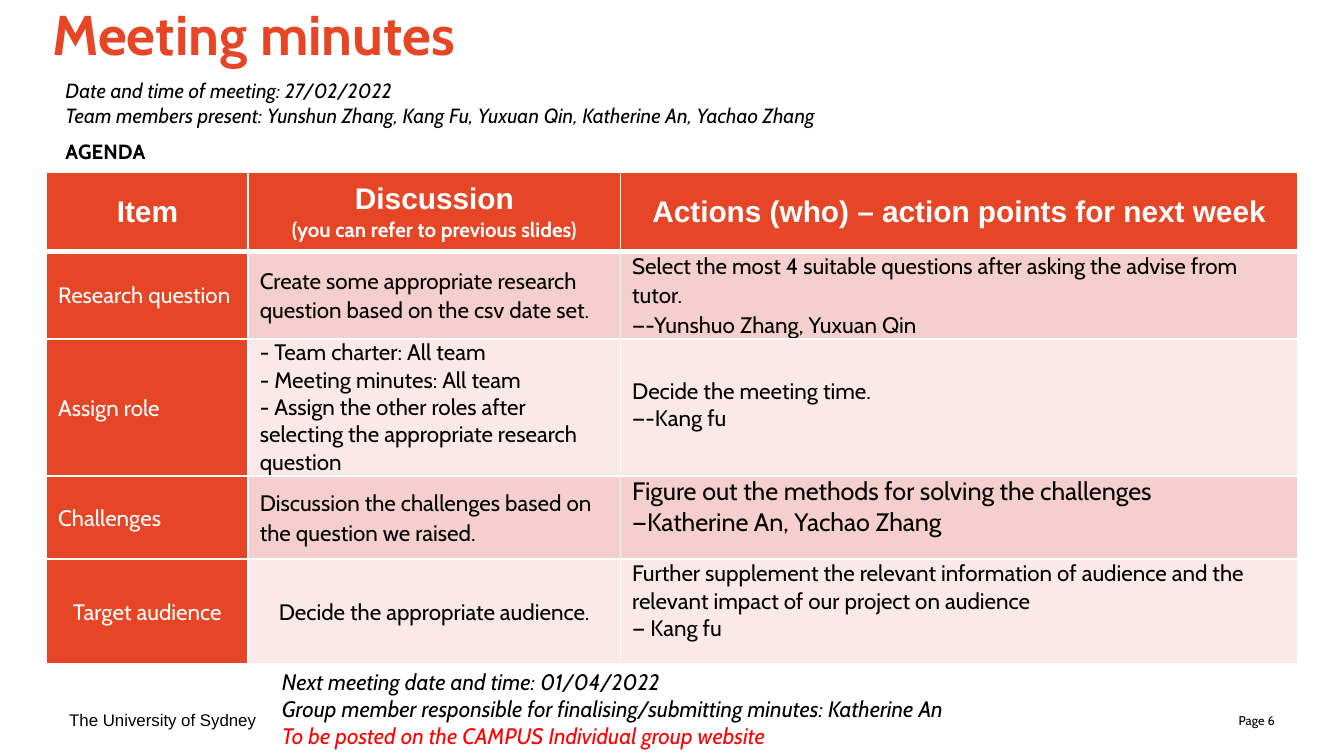
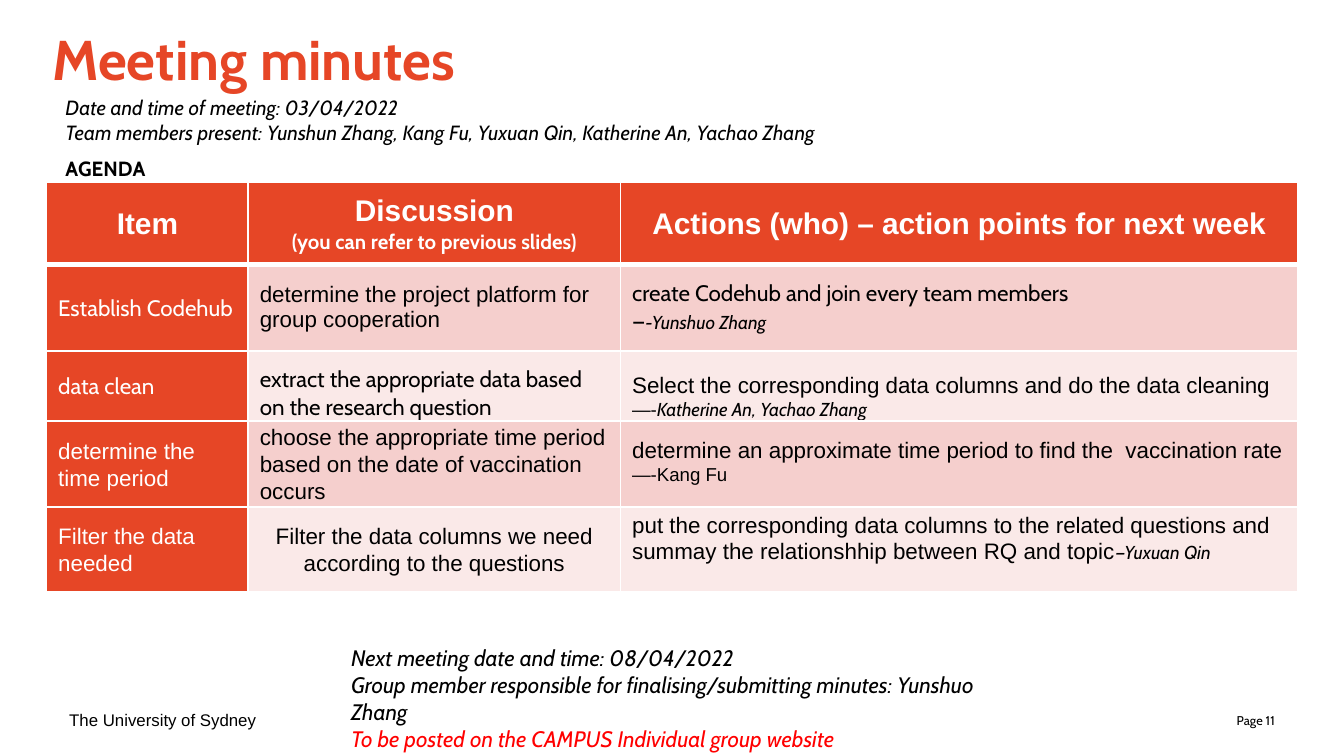
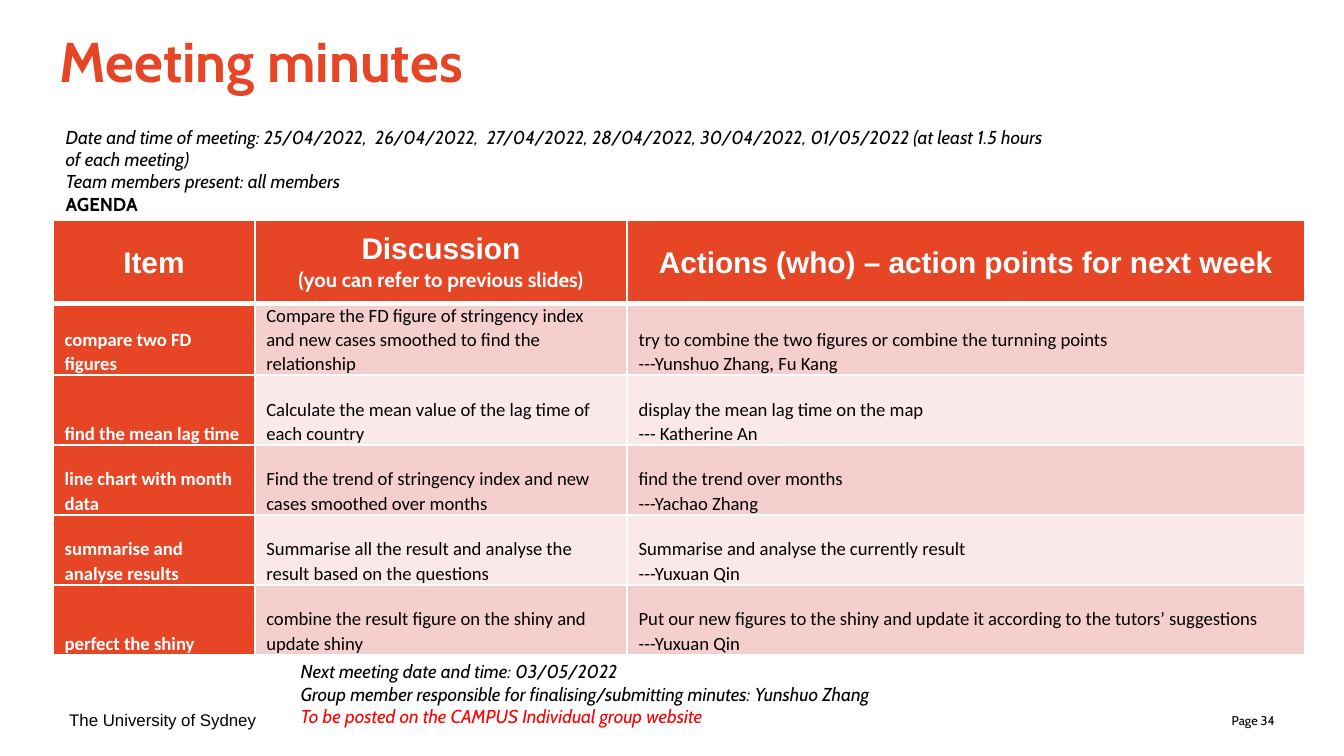
from lxml.etree import SubElement
from pptx import Presentation
from pptx.dml.color import RGBColor
from pptx.enum.text import MSO_ANCHOR, PP_ALIGN
from pptx.oxml.ns import qn
from pptx.util import Pt

# Shared look
ORANGE = RGBColor(0xE6, 0x46, 0x26)
PINK = RGBColor(0xF5, 0xCF, 0xCD)
PALE = RGBColor(0xFA, 0xE9, 0xE8)
WHITE = RGBColor(0xFF, 0xFF, 0xFF)
BLACK = RGBColor(0, 0, 0)
RED = RGBColor(0xFF, 0, 0)
CABIN, ARIAL, CALIBRI = "Cabin", "Arial", "Calibri"
CENTER, RIGHT = PP_ALIGN.CENTER, PP_ALIGN.RIGHT
TOP, MIDDLE, BOTTOM = MSO_ANCHOR.TOP, MSO_ANCHOR.MIDDLE, MSO_ANCHOR.BOTTOM

WIDTH, HEIGHT = 720, 405
COLUMNS = [108, 199.5, 363]
CELL_INSET = 6.2
LINE = 1.07
TITLE = "Meeting minutes"
FOOTER = "The University of Sydney"
POSTED = "To be posted on the CAMPUS Individual group website"
TEAM = "Team members present: Yunshun Zhang, Kang Fu, Yuxuan Qin, Katherine An, Yachao Zhang"
HEADER = [
    ["Item"],
    ["Discussion", [("(you can refer to previous slides)", dict(size=11, font=CABIN))]],
    ["Actions (who) – action points for next week"],
]


def cell(*paras, **fmt):
    """A table cell: its paragraphs and the format that differs from the table's."""
    return paras, fmt


# Content: a paragraph is a string or a list of (text, format) runs
SIGNED = dict(size=10, font=CABIN, italic=True)
LOW = dict(anchor=BOTTOM, line=1)

MEETINGS = [
    dict(
        page=6, title_at=(28, 0), intro_at=(28, 38, 513, 53.5), intro_size=11, agenda_gap=6,
        intro=["Date and time of meeting: 27/02/2022", TEAM],
        table_at=(25, 92), rows=[42.5, 47, 73.5, 44.5, 56], body=dict(size=12, font=CABIN),
        items=[
            [cell("Research question"),
             cell("Create some appropriate research question based on the csv date set."),
             cell("Select the most 4 suitable questions after asking the advise from tutor.",
                  "—-Yunshuo Zhang, Yuxuan Qin")],
            [cell("Assign role"),
             cell("- Team charter: All team", "- Meeting minutes: All team",
                  "- Assign the other roles after selecting the appropriate research question", **LOW),
             cell("Decide the meeting time.", "—-Kang fu", bottom=23.5, **LOW)],
            [cell("Challenges"),
             cell("Discussion the challenges based on the question we raised."),
             cell("Figure out the methods for solving the challenges",
                  "—Katherine An, Yachao Zhang", size=13.5, bottom=11.5, **LOW)],
            [cell("Target audience", align=CENTER),
             cell("Decide the appropriate audience.", align=CENTER),
             cell("Further supplement the relevant information of audience and the relevant "
                  "impact of our project on audience", "— Kang fu", bottom=11.5, **LOW)],
        ],
        closing_at=(144, 354.5, 576, 51), closing_size=12,
        closing=["Next meeting date and time: 01/04/2022",
                 "Group member responsible for finalising/submitting minutes: Katherine An"],
    ),
    dict(
        page=11, title_at=(28, 13), intro_at=(28, 41, 513, 66), intro_size=11, agenda_gap=6,
        intro=["Date and time of meeting: 03/04/2022", TEAM],
        table_at=(25, 97.5), rows=[44, 46.5, 37.5, 46, 44], body=dict(size=12, font=ARIAL),
        items=[
            [cell("Establish Codehub", font=CABIN),
             cell("determine the project platform for group cooperation", line=1),
             cell("create Codehub and join every team members",
                  [("—", {}), ("-Yunshuo Zhang", SIGNED)], font=CABIN, line=1)],
            [cell("data clean", font=CABIN),
             cell("extract the appropriate data based on the research question", font=CABIN, **LOW),
             cell([("Select the corresponding data columns and do the data cleaning", {}),
                   ("—-", dict(size=10)), ("Katherine An, Yachao Zhang", SIGNED)], **LOW)],
            [cell("determine the time period"),
             cell("choose the appropriate time period based on the date of vaccination occurs"),
             cell([("determine an approximate time period to find the  vaccination rate", {}),
                   ("—-Kang Fu", dict(size=10))], anchor=BOTTOM, bottom=11.5)],
            [cell("Filter the data needed"),
             cell("Filter the data columns we need according to the questions", align=CENTER),
             cell([("put the corresponding data columns to the related questions and summay "
                    "the relationshhip between RQ and topic", {}),
                   ("—Yuxuan Qin", SIGNED)], anchor=BOTTOM, bottom=14.5)],
        ],
        closing_at=(181, 341.5, 356.5, 65.5), closing_size=12,
        closing=["Next meeting date and time: 08/04/2022",
                 "Group member responsible for finalising/submitting minutes: Yunshuo Zhang"],
    ),
    dict(
        page=34, title_at=(32, 14), intro_at=(28, 63.5, 542, 55.5), intro_size=10, agenda_gap=0,
        intro=["Date and time of meeting: 25/04/2022,  26/04/2022,  27/04/2022, 28/04/2022, "
               "30/04/2022, 01/05/2022 (at least 1.5 hours of each meeting)",
               "Team members present: all members"],
        table_at=(28.5, 118), rows=[44.5, 38.5, 37.5, 37.5, 37.5, 37.5],
        body=dict(size=10, font=CALIBRI, anchor=BOTTOM), bold_items=True,
        items=[
            [cell("compare two FD figures"),
             cell("Compare the FD figure of stringency index and new cases smoothed to find "
                  "the relationship"),
             cell("try to combine the two figures or combine the turnning points",
                  "---Yunshuo Zhang, Fu Kang")],
            [cell("find the mean lag time"),
             cell("Calculate the mean value of the lag time of each country"),
             cell("display the mean lag time on the map", "--- Katherine An")],
            [cell("line chart with month data"),
             cell("Find the trend of stringency index and new cases smoothed over months"),
             cell("find the trend over months", "---Yachao Zhang")],
            [cell("summarise and analyse results"),
             cell("Summarise all the result and analyse the result based on the questions"),
             cell("Summarise and analyse the currently result", "---Yuxuan Qin")],
            [cell("perfect the shiny"),
             cell("combine the result figure on the shiny and update shiny"),
             cell("Put our new figures to the shiny and update it according to the tutors’ "
                  "suggestions", "---Yuxuan Qin")],
        ],
        closing_at=(154, 350, 418.5, 43), closing_size=10,
        closing=["Next meeting date and time: 03/05/2022",
                 "Group member responsible for finalising/submitting minutes: Yunshuo Zhang"],
    ),
]


# Text
def write(tf, paras, align=None, line=None, before=0, **base):
    """Fill a text frame; before is the space above its last paragraph."""
    for i, para in enumerate(paras):
        p = tf.add_paragraph() if i else tf.paragraphs[0]
        p.alignment, p.line_spacing = align, line
        if before and i == len(paras) - 1:
            p.space_before = Pt(before)
        for text, extra in [(para, {})] if isinstance(para, str) else para:
            fmt = dict(size=12, font=CABIN, color=BLACK, bold=False, italic=False) | base | extra
            r = p.add_run()
            r.text = text
            r.font.size, r.font.name = Pt(fmt["size"]), fmt["font"]
            r.font.bold, r.font.italic = fmt["bold"], fmt["italic"]
            r.font.color.rgb = fmt["color"]


def add_box(slide, at, paras, anchor=MIDDLE, **fmt):
    tf = slide.shapes.add_textbox(*map(Pt, at)).text_frame
    tf.word_wrap, tf.vertical_anchor = True, anchor
    write(tf, paras, **fmt)


# Table
def fill_cell(c, paras, fill, anchor=MIDDLE, bottom=0, line=LINE, rule=1, **fmt):
    c.margin_left = c.margin_right = Pt(CELL_INSET)
    c.margin_top, c.margin_bottom = 0, Pt(bottom)
    c.vertical_anchor = anchor
    tc_pr = c._tc.get_or_add_tcPr()
    for side, width in dict(L=1, R=1, T=1, B=rule).items():
        ln = SubElement(tc_pr, qn(f"a:ln{side}"), w=str(Pt(width)))
        SubElement(SubElement(ln, qn("a:solidFill")), qn("a:srgbClr"), val=str(WHITE))
    c.fill.solid()
    c.fill.fore_color.rgb = fill
    write(c.text_frame, paras, line=line, **fmt)


def add_agenda(slide, m):
    rows = m["rows"]
    x, y = m["table_at"]
    table = slide.shapes.add_table(len(rows), len(COLUMNS), Pt(x), Pt(y),
                                   Pt(sum(COLUMNS)), Pt(sum(rows))).table
    for col, width in zip(table.columns, COLUMNS):
        col.width = Pt(width)
    for row, height in zip(table.rows, rows):
        row.height = Pt(height)
    for j, paras in enumerate(HEADER):
        fill_cell(table.cell(0, j), paras, ORANGE, rule=3, align=CENTER,
                  size=16, font=ARIAL, color=WHITE, bold=True)
    for i, item in enumerate(m["items"], 1):
        for j, (paras, own) in enumerate(item):
            if j == 0:
                fill, look = ORANGE, dict(color=WHITE, bold=m.get("bold_items", False))
            else:
                fill, look = (PINK if i % 2 else PALE), {}
            fill_cell(table.cell(i, j), paras, fill, **(m["body"] | look | own))


# Slides
def add_meeting(prs, m):
    slide = prs.slides.add_slide(prs.slide_layouts[5])
    title = slide.shapes.title
    title.left, title.top = map(Pt, m["title_at"])
    title.width, title.height = Pt(664), Pt(38)
    tf = title.text_frame
    tf.margin_left = tf.margin_right = tf.margin_top = tf.margin_bottom = 0
    tf.vertical_anchor = TOP
    write(tf, [TITLE], align=PP_ALIGN.LEFT, size=30, color=ORANGE, bold=True)

    add_box(slide, (522, 375, 168, 21.5), [f"Page {m['page']}"], align=RIGHT, size=6.8)
    add_box(slide, (30, 375, 168, 21.5), [FOOTER], size=9, font=ARIAL)
    add_agenda(slide, m)
    agenda = [("AGENDA", dict(bold=True, italic=False))]
    add_box(slide, m["intro_at"], m["intro"] + [agenda], before=m["agenda_gap"],
            size=m["intro_size"], italic=True)
    add_box(slide, m["closing_at"], m["closing"] + [[(POSTED, dict(color=RED))]], anchor=TOP,
            size=m["closing_size"], italic=True)


def main():
    prs = Presentation()
    prs.slide_width, prs.slide_height = Pt(WIDTH), Pt(HEIGHT)
    for m in MEETINGS:
        add_meeting(prs, m)
    prs.save("out.pptx")


if __name__ == "__main__":
    main()
